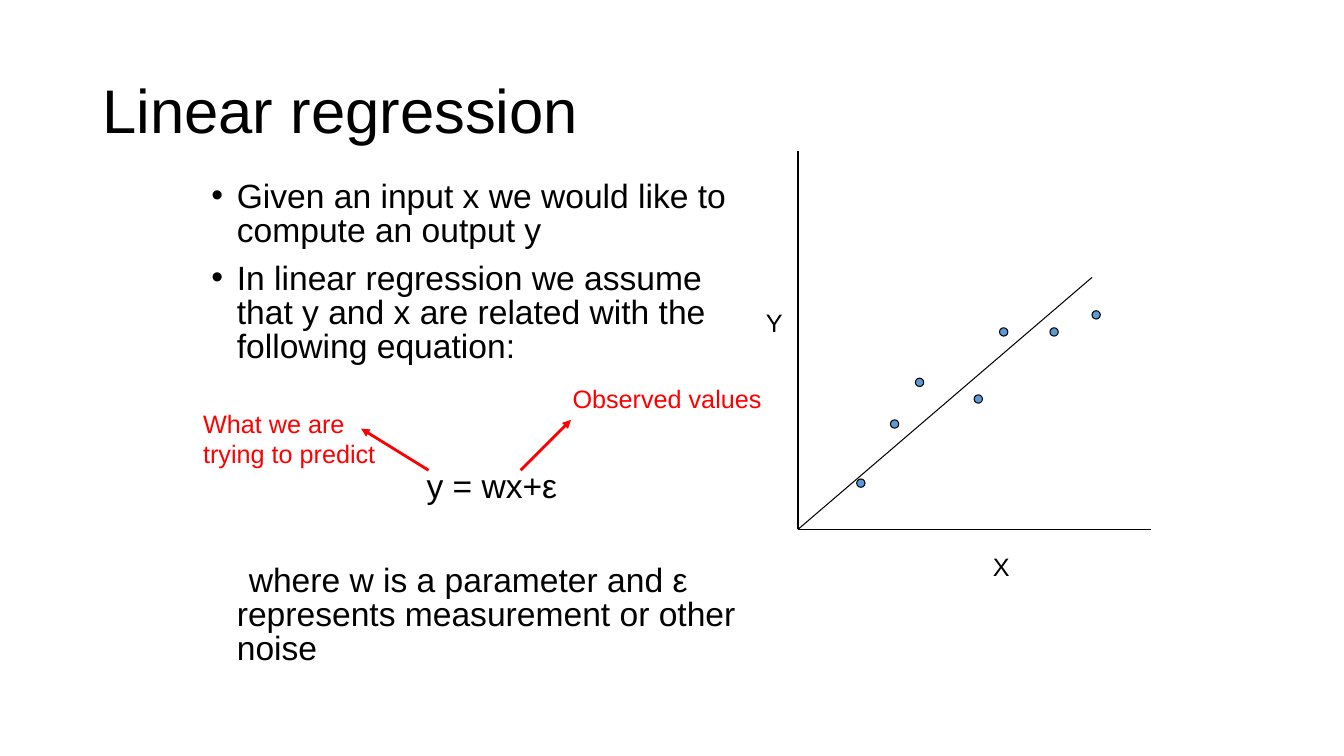
"""Builds a slide that introduces linear regression with a scatter sketch."""
from lxml.etree import SubElement
from pptx import Presentation
from pptx.dml.color import RGBColor
from pptx.enum.shapes import MSO_CONNECTOR, MSO_SHAPE
from pptx.enum.text import MSO_ANCHOR
from pptx.oxml.ns import qn
from pptx.util import Cm, Pt

BLACK = RGBColor(0x00, 0x00, 0x00)
RED = RGBColor(0xFF, 0x00, 0x00)
BLUE = RGBColor(0x5B, 0x9B, 0xD5)

ORIGIN = (20.11, 13.34)
DOT_SIZE = 0.21
HANGING = 0.64
DOTS = [(21.59, 12.07), (22.44, 10.58), (27.52, 7.83), (26.46, 8.26),
        (25.19, 8.26), (24.55, 9.95), (23.07, 9.53)]
PLOT_LINES = [((29.0, 13.34), ORIGIN), (ORIGIN, (20.11, 3.81)), (ORIGIN, (27.52, 6.99))]
LABELS = [
    ("X", (24.77, 13.76, 1.27, 1.02), BLACK),
    ("Y", (19.05, 7.62, 1.27, 1.02), BLACK),
    ("What we are trying to predict", (4.87, 10.16, 4.88, 1.78), RED),
    ("Observed values", (14.18, 9.53, 5.51, 1.02), RED),
]
ARROWS = [((13.12, 11.85), (14.39, 10.58)), ((10.8, 11.85), (9.1, 10.8))]
BODY = [
    ("Given an input x we would like to compute an output y", HANGING, -HANGING, 0, True),
    ("In linear regression we assume that y and x are related with the following equation:",
     HANGING, -HANGING, 10, True),
    ("y = wx+ε", 5.42, 0, 76, False),
    ("where w is a parameter and ε represents measurement or other noise",
     HANGING, 0.3, 43, False),
]


class SlideBuilder:
    """Holds the text style and the current slide."""

    font_name = "Arial"

    def __init__(self, slide):
        self.slide = slide

    def text_frame(self, box, anchor=MSO_ANCHOR.TOP):
        """Add a wrapping text box and return its frame."""
        frame = self.slide.shapes.add_textbox(*map(Cm, box)).text_frame
        frame.word_wrap = True
        frame.vertical_anchor = anchor
        return frame

    def fill_paragraph(self, paragraph, text, size, color=BLACK, spacing=1.0):
        """Fill a paragraph with text in the slide's font."""
        paragraph.text = text
        paragraph.line_spacing = spacing
        paragraph.font.name = self.font_name
        paragraph.font.size = Pt(size)
        paragraph.font.color.rgb = color

    def title(self, text, box):
        """Add the slide title."""
        frame = self.text_frame(box, MSO_ANCHOR.MIDDLE)
        self.fill_paragraph(frame.paragraphs[0], text, 44, spacing=0.9)

    def label(self, text, box, color):
        """Add a short label."""
        self.fill_paragraph(self.text_frame(box).paragraphs[0], text, 18, color)

    def body(self, items, box):
        """Add indented paragraphs, some of them with bullets."""
        frame = self.text_frame(box)
        for index, (text, margin, indent, space_before, bulleted) in enumerate(items):
            paragraph = frame.add_paragraph() if index else frame.paragraphs[0]
            properties = paragraph._p.get_or_add_pPr()
            properties.set("marL", str(Cm(margin)))
            properties.set("indent", str(Cm(indent)))
            if bulleted:
                SubElement(properties, qn("a:buFont")).set("typeface", self.font_name)
                SubElement(properties, qn("a:buChar")).set("char", "•")
            else:
                SubElement(properties, qn("a:buNone"))
            paragraph.space_before = Pt(space_before)
            self.fill_paragraph(paragraph, text, 24, spacing=0.84)

    def line(self, start, end, color=BLACK, width=0.75, arrow=False):
        """Add a straight line, with an arrowhead at its end if asked."""
        connector = self.slide.shapes.add_connector(
            MSO_CONNECTOR.STRAIGHT, *map(Cm, start + end))
        connector.line.color.rgb = color
        connector.line.width = Pt(width)
        properties = connector.element.spPr
        if arrow:
            SubElement(properties.find(qn("a:ln")), qn("a:tailEnd")).set("type", "triangle")
        SubElement(properties, qn("a:effectLst"))

    def dot(self, left, top):
        """Add one data point."""
        shape = self.slide.shapes.add_shape(
            MSO_SHAPE.OVAL, Cm(left), Cm(top), Cm(DOT_SIZE), Cm(DOT_SIZE))
        shape.shadow.inherit = False
        shape.fill.solid()
        shape.fill.fore_color.rgb = BLUE
        shape.line.color.rgb = BLACK
        shape.line.width = Pt(0.75)


def main():
    """Build and save the presentation."""
    presentation = Presentation()
    presentation.slide_width = Cm(33.87)
    presentation.slide_height = Cm(19.05)
    builder = SlideBuilder(presentation.slides.add_slide(presentation.slide_layouts[6]))
    builder.title("Linear regression", (2.33, 1.01, 29.21, 3.68))
    builder.body(BODY, (5.08, 4.45, 13.97, 12.57))
    for start, end in PLOT_LINES:
        builder.line(start, end)
    for left, top in DOTS:
        builder.dot(left, top)
    for text, box, color in LABELS:
        builder.label(text, box, color)
    for start, end in ARROWS:
        builder.line(start, end, RED, 2, arrow=True)
    presentation.save("out.pptx")


if __name__ == "__main__":
    main()
